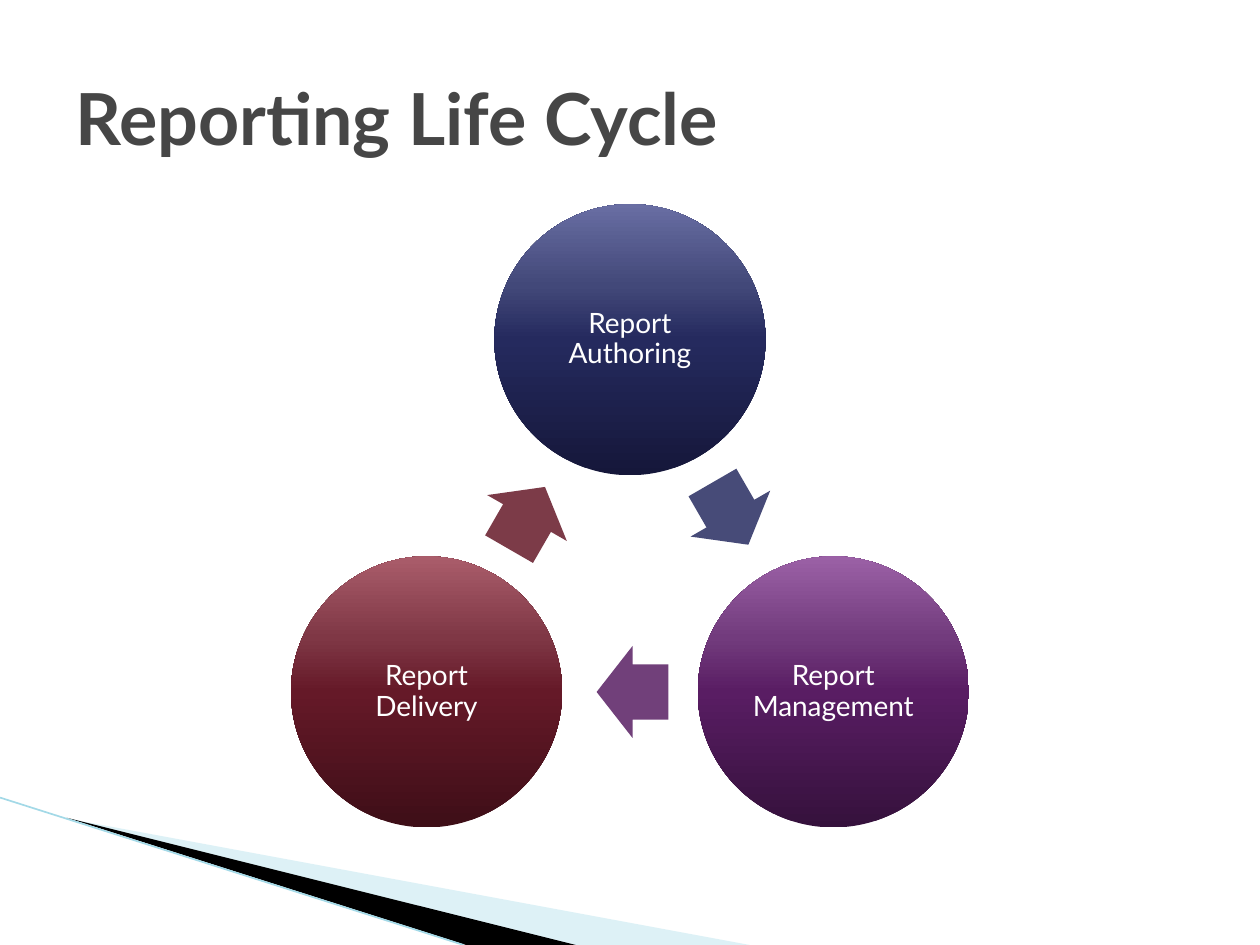
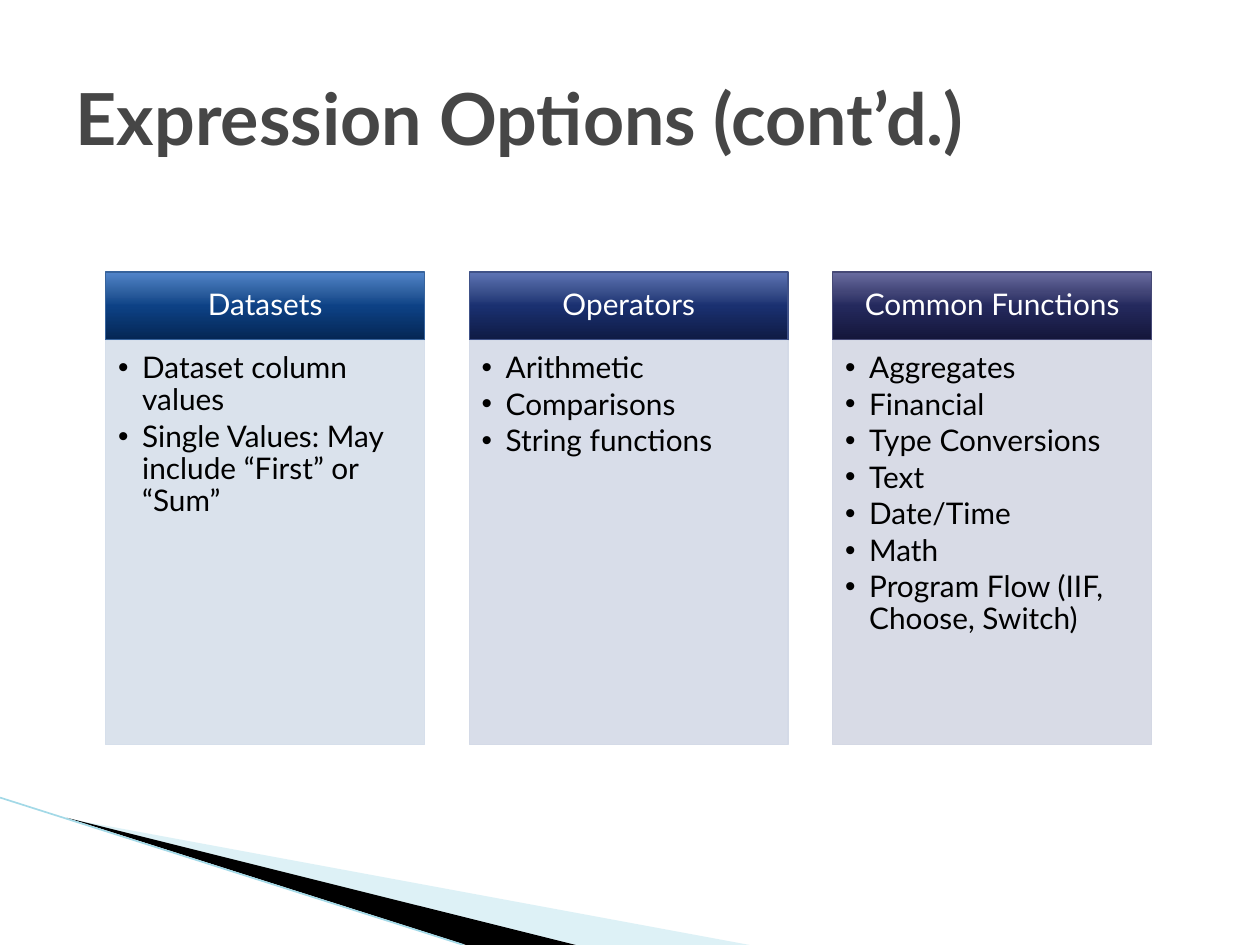
import math

import pptx
import pptx.dml.color
import pptx.enum.shapes
import pptx.enum.text
import pptx.oxml.ns
import pptx.oxml.xmlchemy
import pptx.util
from lxml import etree

Inches = pptx.util.Inches
Pt = pptx.util.Pt
RGBColor = pptx.dml.color.RGBColor
qn = pptx.oxml.ns.qn
SHAPE = pptx.enum.shapes.MSO_SHAPE
ALIGN = pptx.enum.text.PP_ALIGN
ANCHOR = pptx.enum.text.MSO_ANCHOR

FONT = "Lato"
BLACK = RGBColor(0, 0, 0)
WHITE = RGBColor(255, 255, 255)
GREY = RGBColor.from_string("464646")
PALE = RGBColor.from_string("ABDEEA")
SKY = RGBColor.from_string("A3D9E7")

STOPS = (0, 50, 70, 100)
STAGES = [
    ("Report Authoring", ("15173A", "252A5E", "424879", "696EA3"),
     RGBColor.from_string("474B78")),
    ("Report Management", ("35113C", "591D63", "723B7D", "9B61A6"),
     RGBColor.from_string("71407A")),
    ("Report Delivery", ("3E0E17", "651928", "7F3745", "AA5D6B"),
     RGBColor.from_string("7C3B48")),
]
CARDS = [
    ("Datasets", ("052653", "0D4185", "2C5E9E", "5285CA"),
     RGBColor.from_string("37639C"), RGBColor.from_string("D6DFEB"),
     ["Dataset column values",
      "Single Values: May include “First” or “Sum”"]),
    ("Operators", ("0F1B44", "1A3070", "384E8A", "5E74B5"),
     RGBColor.from_string("405288"), RGBColor.from_string("D4DAE7"),
     ["Arithmetic", "Comparisons", "String functions"]),
    ("Common Functions", ("14163A", "24295D", "424577", "696CA0"),
     RGBColor.from_string("464976"), RGBColor.from_string("D4D8E4"),
     ["Aggregates", "Financial", "Type Conversions", "Text", "Date/Time",
      "Math", "Program Flow (IIF, Choose, Switch)"]),
]


def style(para, size, color, bold=False):
    for run in para.runs:
        run.font.name = FONT
        run.font.size = Pt(size)
        run.font.bold = bold
        run.font.color.rgb = color


def paint(shape, color, alpha=None):
    shape.shadow.inherit = False
    shape.fill.solid()
    shape.fill.fore_color.rgb = color
    shape.line.fill.background()
    if alpha:
        tint = shape._element.spPr.find(qn("a:solidFill"))[0]
        etree.SubElement(tint, qn("a:alpha"), val=str(alpha * 1000))


def shade(shape, colors):
    shape.shadow.inherit = False
    shape.fill.gradient()
    shape.fill.gradient_angle = 90
    stops = shape._element.spPr.find(qn("a:gradFill")).find(qn("a:gsLst"))
    for stop in list(stops):
        stops.remove(stop)
    for pos, color in zip(STOPS, colors):
        stop = etree.SubElement(stops, qn("a:gs"), pos=str(pos * 1000))
        etree.SubElement(stop, qn("a:srgbClr"), val=color)
    shape.line.fill.background()


def edge(shape, color):
    shape.line.color.rgb = color
    shape.line.width = Pt(0.75)


def inset(frame, left, top, right, bottom):
    frame.word_wrap = True
    frame.margin_left, frame.margin_top = Inches(left), Inches(top)
    frame.margin_right, frame.margin_bottom = Inches(right), Inches(bottom)


def label(shape, text, size, after):
    frame = shape.text_frame
    frame.text = text
    frame.vertical_anchor = ANCHOR.MIDDLE
    para = frame.paragraphs[0]
    para.alignment = ALIGN.CENTER
    para.line_spacing = 0.9
    para.space_after = Pt(after)
    style(para, size, WHITE)


def bullet(para):
    props = para._p.get_or_add_pPr()
    props.set("marL", str(Inches(0.19)))
    props.set("indent", str(-Inches(0.19)))
    tint = etree.SubElement(props, qn("a:buClr"))
    etree.SubElement(tint, qn("a:srgbClr"), val=str(BLACK))
    etree.SubElement(props, qn("a:buFont"), typeface="Arial")
    etree.SubElement(props, qn("a:buChar"), char="•")


def wedge(slide, points, color, alpha=None):
    spots = [(Inches(x), Inches(y)) for x, y in points]
    pen = slide.shapes.build_freeform(*spots[0])
    pen.add_line_segments(spots[1:], close=True)
    paint(pen.convert_to_shape(), color, alpha)


def swoosh(slide):
    wedge(slide, [(0.55, 6.5), (5.95, 7.5), (4.56, 7.5)], PALE, 40)
    wedge(slide, [(0.53, 6.49), (4.57, 7.5), (3.7, 7.5)], BLACK)
    line = slide.shapes.add_connector(
        pptx.enum.shapes.MSO_CONNECTOR.STRAIGHT,
        Inches(0), Inches(6.33), Inches(3.68), Inches(7.5))
    line.line.color.rgb = SKY
    line.line.width = Pt(0.95)
    etree.SubElement(line._element.spPr, qn("a:effectLst"))


def start(deck, text):
    slide = deck.slides.add_slide(deck.slide_layouts[5])
    swoosh(slide)
    title = slide.shapes.title
    title.left, title.top = Inches(0.5), Inches(0.3)
    title.width, title.height = Inches(9), Inches(1.25)
    frame = title.text_frame
    frame.text = text
    frame.vertical_anchor = ANCHOR.MIDDLE
    inset(frame, 0.1, 0.05, 0.1, 0.05)
    frame.paragraphs[0].alignment = ALIGN.LEFT
    style(frame.paragraphs[0], 41, GREY, True)
    return slide


def center(slide, kind, x, y, wide, high):
    return slide.shapes.add_shape(
        kind, Inches(x - wide / 2), Inches(y - high / 2),
        Inches(wide), Inches(high))


def cycle(slide, left, top, width):
    size = 0.4 * width
    ring = (width - size) / math.sqrt(3)
    mid_x, mid_y = left + width / 2, top + size / 2 + ring
    for i, (text, colors, color) in enumerate(STAGES):
        turn = math.radians(120 * i - 90)
        disc = center(slide, SHAPE.OVAL, mid_x + ring * math.cos(turn),
                      mid_y + ring * math.sin(turn), size, size)
        shade(disc, colors)
        inset(disc.text_frame, 0.02, 0.02, 0.02, 0.02)
        label(disc, text, 16, 5.6)

        half = turn + math.radians(60)
        head = half + math.radians(90)
        back = 0.02
        arrow = center(
            slide, SHAPE.RIGHT_ARROW,
            mid_x + ring / 2 * math.cos(half) - back * math.cos(head),
            mid_y + ring / 2 * math.sin(half) - back * math.sin(head),
            0.57, 0.73)
        arrow.adjustments[0] = 0.6
        arrow.adjustments[1] = 0.5
        arrow.rotation = 60 + 120 * i
        paint(arrow, color)


def card(slide, left, top, width, height, data):
    text, colors, rim, tint, items = data
    bar = 0.54
    head = slide.shapes.add_shape(SHAPE.RECTANGLE, Inches(left), Inches(top),
                                  Inches(width), Inches(bar))
    shade(head, colors)
    edge(head, rim)
    inset(head.text_frame, 0.13, 0.08, 0.13, 0.08)
    label(head, text, 17, 6)

    body = slide.shapes.add_shape(
        SHAPE.RECTANGLE, Inches(left), Inches(top + bar),
        Inches(width), Inches(height - bar))
    paint(body, tint, 90)
    edge(body, tint)
    frame = body.text_frame
    inset(frame, 0.1, 0.1, 0.13, 0.15)
    frame.vertical_anchor = ANCHOR.TOP
    frame.text = "\n".join(items)
    for i, para in enumerate(frame.paragraphs):
        para.level = 1
        para.alignment = ALIGN.LEFT
        para.line_spacing = 0.9
        para.space_before = Pt(2.5 if i else 0)
        para.space_after = Pt(2.5 if i == len(items) - 1 else 0)
        bullet(para)
        style(para, 17, BLACK)


def cards(slide, left, top, width, height):
    wide = 2.53
    step = (width - wide) / (len(CARDS) - 1)
    for i, data in enumerate(CARDS):
        card(slide, left + i * step, top, wide, height, data)


def main():
    deck = pptx.Presentation()
    deck.slide_width, deck.slide_height = Inches(10), Inches(7.5)
    cycle(start(deck, "Reporting Life Cycle"), 2.31, 1.62, 5.38)
    cards(start(deck, "Expression Options (cont’d.)"), 0.84, 2.16, 8.3, 3.75)
    deck.save("out.pptx")


if __name__ == "__main__":
    main()
